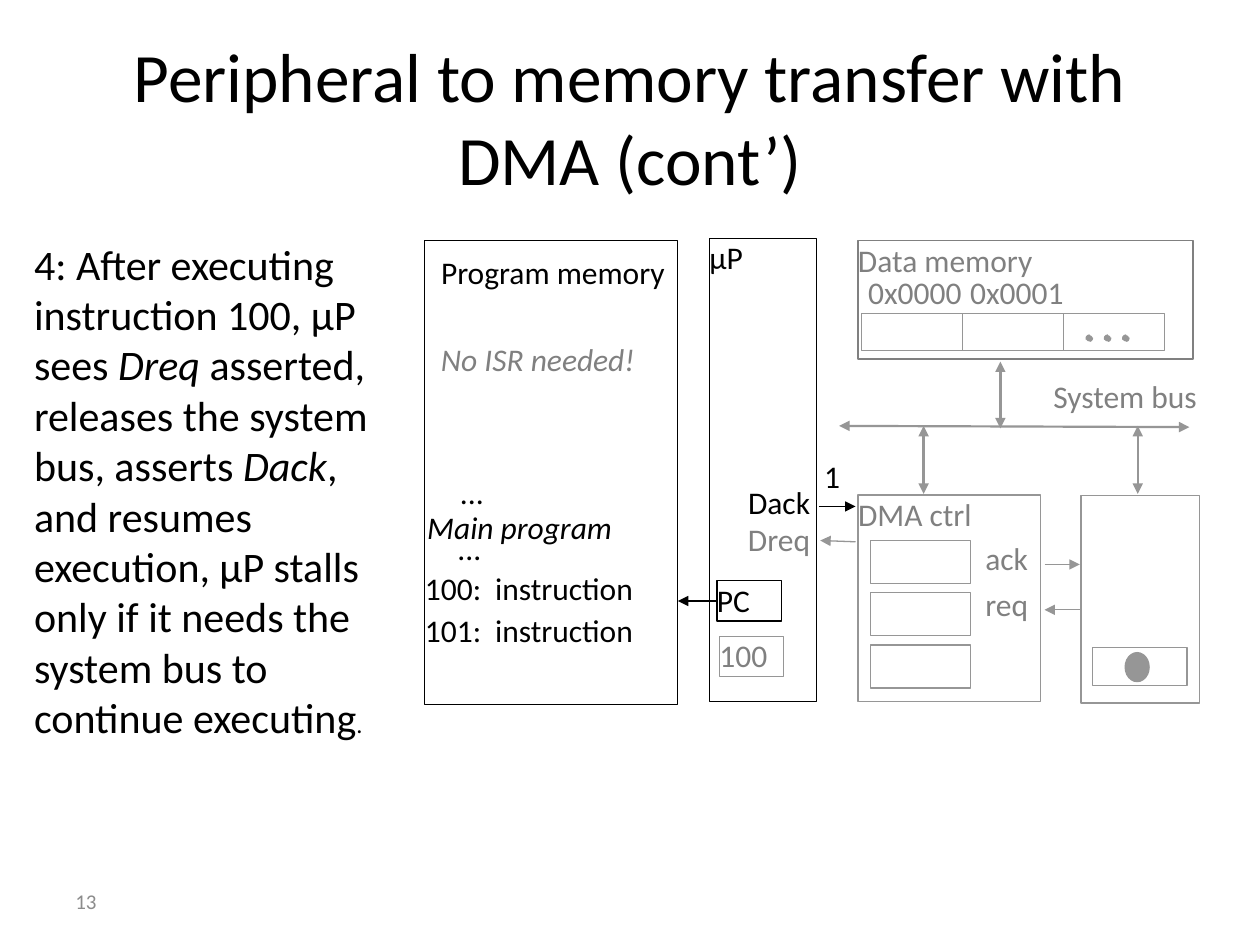
"""Build the slide on peripheral to memory transfer with DMA."""
from lxml import etree
from pptx import Presentation
from pptx import util as u
from pptx.dml.color import RGBColor
from pptx.enum import dml, shapes, text
from pptx.oxml.ns import qn

BLACK = RGBColor(0x00, 0x00, 0x00)
WHITE = RGBColor(0xFF, 0xFF, 0xFF)
GRAY = RGBColor(0x80, 0x80, 0x80)
SILVER = RGBColor(0x96, 0x96, 0x96)
FOOT = RGBColor(0x8C, 0x8C, 0x8C)
FONT = "Calibri"
LEFT, CENTER, RIGHT = text.PP_ALIGN.LEFT, text.PP_ALIGN.CENTER, text.PP_ALIGN.RIGHT
RECT, OVAL = shapes.MSO_SHAPE.RECTANGLE, shapes.MSO_SHAPE.OVAL

TITLE = "Peripheral to memory transfer with DMA (cont’)"
BODY = [
    ("4: After executing instruction 100, μP sees ", 24, False),
    ("Dreq", 24, True),
    (" asserted, releases the system bus, asserts ", 24, False),
    ("Dack", 24, True),
    (", and resumes execution, μP stalls only if it needs the system bus "
     "to continue executing", 24, False),
    (".", 14, False),
]

PROG, CPU, DMA, PERIPH = 3.37, 5.63, 6.81, 8.58
TOP, LOWER, BUS = 1.91, 3.93, 3.38
CELL_W, CELL_H = 0.8, 0.29
REG_X, REG_Y, REG_STEP = 6.91, 4.29, 0.415
INSTR_Y, INSTR_STEP = 4.52, 0.33

BLOCKS = [
    ((PROG, TOP, 2.01, 3.68), BLACK, "", BLACK),
    ((CPU, 1.89, 0.85, 3.68), BLACK, "μP", BLACK),
    ((DMA, TOP, 2.66, 0.94), GRAY, "Data memory", GRAY),
    ((DMA, LOWER, 1.45, 1.64), SILVER, "DMA ctrl", GRAY),
    ((PERIPH, LOWER, 0.94, 1.65), SILVER, "", BLACK),
    ((8.67, 5.14, 0.75, 0.3), SILVER, "", BLACK),
    ((5.69, 4.61, 0.51, 0.32), BLACK, "PC", BLACK),
    ((5.71, 5.05, 0.51, 0.32), SILVER, "100", GRAY),
]
ADDRESSES = ["0x0000", "0x0001"]
INSTRUCTIONS = ["100:", "101:"]

LABELS = [
    ((3.5, 2.01, 1.85, 0.38), "Program memory", BLACK, LEFT, False),
    ((3.5, 2.7, 1.73, 0.32), "No ISR needed!", GRAY, LEFT, True),
    ((3.5, 3.75, 0.34, 0.29), "...", BLACK, RIGHT, False),
    ((3.39, 4.03, 1.58, 0.36), "Main program", BLACK, LEFT, True),
    ((3.48, 4.2, 0.34, 0.29), "...", BLACK, RIGHT, False),
    ((5.86, 3.83, 0.57, 0.38), "Dack", BLACK, RIGHT, False),
    ((5.86, 4.13, 0.57, 0.37), "Dreq", GRAY, RIGHT, False),
    ((6.54, 3.63, 0.26, 0.29), "1", BLACK, LEFT, False),
    ((8.36, 2.99, 1.2, 0.46), "System bus", GRAY, LEFT, False),
    ((7.82, 4.28, 0.41, 0.38), "ack", GRAY, LEFT, False),
    ((7.82, 4.64, 0.41, 0.38), "req", GRAY, LEFT, False),
]

ARROWS = [
    ((6.66, BUS, 9.44, 3.39), SILVER, 1.25, True),
    ((7.94, 2.87, 7.94, 3.4), SILVER, 1.25, True),
    ((7.33, BUS, 7.33, 3.92), SILVER, 1.25, True),
    ((9.03, BUS, 9.03, 3.92), SILVER, 1.25, True),
    ((5.69, 4.77, 5.38, 4.77), BLACK, 1.25, False),
    ((6.5, 4.02, 6.79, 4.02), BLACK, 0.75, False),
    ((6.79, 4.3, 6.51, 4.29), SILVER, 0.75, False),
    ((8.29, 4.48, 8.57, 4.48), SILVER, 0.75, False),
    ((8.58, 4.84, 8.29, 4.84), SILVER, 0.75, False),
]


def inches(values):
    return [u.Inches(v) for v in values]


def place(sp, box):
    sp.left, sp.top, sp.width, sp.height = inches(box)


def add_run(p, words, size=18, color=BLACK, italic=False):
    r = p.add_run()
    r.text = words
    r.font.name, r.font.size, r.font.italic = FONT, u.Pt(size), italic
    r.font.color.rgb = color


def set_frame(sp, anchor=text.MSO_ANCHOR.TOP, inset=0.0):
    tf = sp.text_frame
    tf.word_wrap, tf.vertical_anchor = True, anchor
    tf.auto_size = text.MSO_AUTO_SIZE.NONE
    tf.margin_left = tf.margin_right = u.Inches(inset)
    tf.margin_top = tf.margin_bottom = u.Inches(inset / 2)
    return tf.paragraphs[0]


def add_block(slide, box, line, words="", color=BLACK, kind=RECT, fill=WHITE):
    sp = slide.shapes.add_shape(kind, *inches(box))
    sp.shadow.inherit = False
    sp.fill.solid()
    sp.fill.fore_color.rgb = fill
    sp.line.color.rgb, sp.line.width = line, u.Pt(0.75)
    if words:
        p = set_frame(sp)
        p.alignment = LEFT
        add_run(p, words, 18, color)
    return sp


def add_label(slide, box, words, color=BLACK, align=LEFT, italic=False):
    p = set_frame(slide.shapes.add_textbox(*inches(box)))
    p.alignment = align
    add_run(p, words, 18, color, italic)


def add_arrow(slide, ends, color, width, both):
    cn = slide.shapes.add_connector(shapes.MSO_CONNECTOR.STRAIGHT, *inches(ends))
    cn.line.color.rgb, cn.line.width = color, u.Pt(width)
    ln = cn.line._get_or_add_ln()
    for tag in ["a:headEnd", "a:tailEnd"] if both else ["a:tailEnd"]:
        etree.SubElement(ln, qn(tag), type="triangle")
    etree.SubElement(cn._element.spPr, qn("a:effectLst"))


def add_text(slide):
    title, body = slide.placeholders[0], slide.placeholders[1]
    place(title, (0.5, 0.3, 9, 1.25))
    p = set_frame(title, text.MSO_ANCHOR.MIDDLE, 0.1)
    p.alignment = CENTER
    add_run(p, TITLE, 39.6)

    place(body, (0.27, 1.89, 2.73, 4.19))
    p = set_frame(body)
    p.space_before = u.Pt(0)
    pPr = p._p.get_or_add_pPr()
    pPr.set("marL", "0")
    pPr.set("indent", "0")
    etree.SubElement(pPr, qn("a:buNone"))
    for words, size, italic in BODY:
        add_run(p, words, size, BLACK, italic)

    number = slide.shapes.add_textbox(*inches((0.5, 6.95, 2.33, 0.4)))
    add_run(set_frame(number, text.MSO_ANCHOR.MIDDLE, 0.1), "13", 12, FOOT)


def add_diagram(slide):
    for block in BLOCKS:
        add_block(slide, *block)
    for i in range(3):
        add_block(slide, (6.84 + i * CELL_W, 2.49, CELL_W, CELL_H), SILVER)
        add_block(slide, (REG_X, REG_Y + i * REG_STEP, 0.79, 0.34), SILVER)
    for i in range(3):
        dot = add_block(slide, (8.62 + i * 0.145, 2.66, 0.05, 0.05), SILVER,
                        kind=OVAL, fill=SILVER)
        dot.line.dash_style = dml.MSO_LINE.DASH
    add_block(slide, (8.93, 5.18, 0.19, 0.23), SILVER, kind=OVAL, fill=SILVER)

    for arrow in ARROWS:
        add_arrow(slide, *arrow)
    for label in LABELS:
        add_label(slide, *label)
    for i, words in enumerate(ADDRESSES):
        add_label(slide, (6.89 + i * 0.81, 2.17, 0.8, 0.28), words, GRAY)
    for i, words in enumerate(INSTRUCTIONS):
        y = INSTR_Y + i * INSTR_STEP
        add_label(slide, (3.25, y, 0.57, 0.3), words, align=RIGHT)
        add_label(slide, (3.93, y, 1.2, 0.3), "instruction")


def main():
    prs = Presentation()
    prs.slide_width, prs.slide_height = u.Inches(10), u.Inches(7.5)
    slide = prs.slides.add_slide(prs.slide_layouts[1])
    add_text(slide)
    add_diagram(slide)
    prs.save("out.pptx")


if __name__ == "__main__":
    main()
